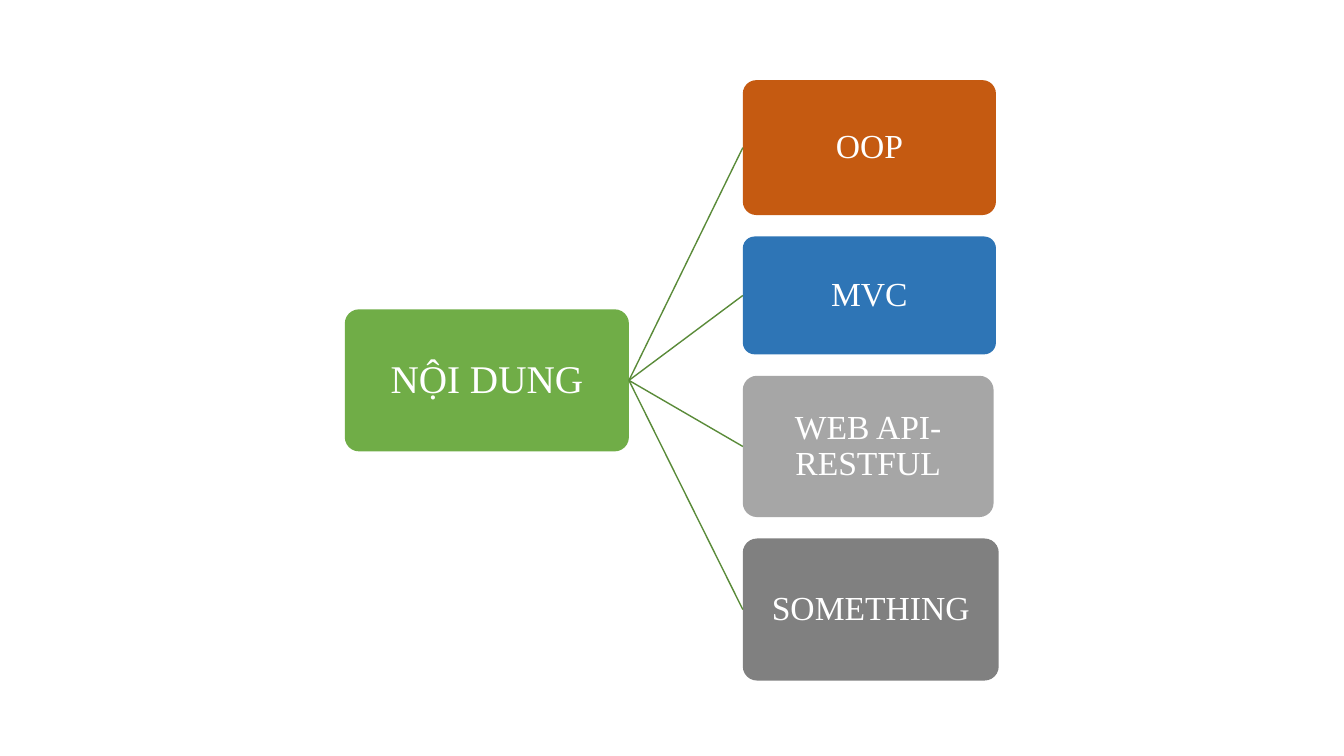
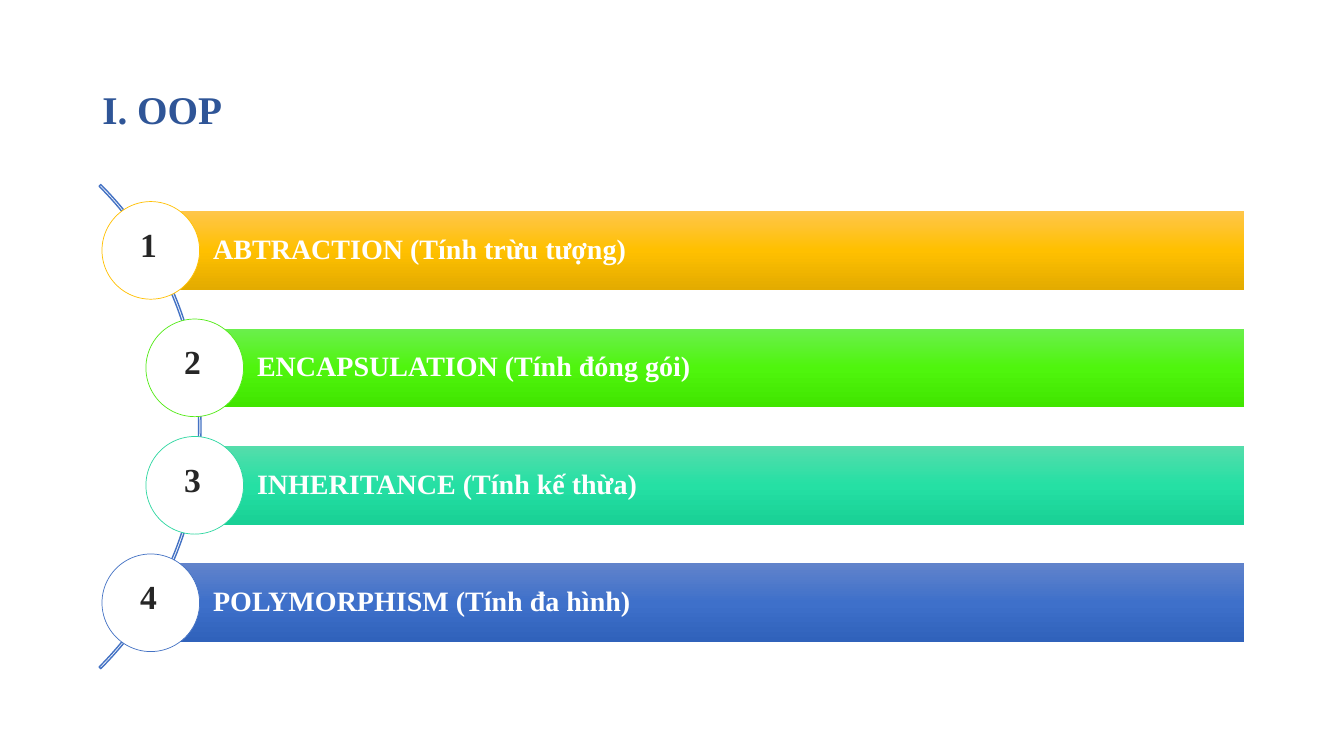
from copy import deepcopy
from dataclasses import dataclass
from math import radians, sin, sqrt

from lxml.etree import SubElement
from pptx import Presentation
from pptx.dml.color import RGBColor
from pptx.enum.shapes import MSO_CONNECTOR, MSO_SHAPE
from pptx.enum.text import MSO_ANCHOR, PP_ALIGN
from pptx.oxml.ns import qn
from pptx.util import Cm, Pt


@dataclass(frozen=True)
class Theme:
    font: str = "Times New Roman"
    white: str = "FFFFFF"
    title: str = "2F5597"
    number: str = "262626"
    root: str = "70AD47"
    link: str = "5A8B39"
    arc: str = "4472C4"
    heading_size: int = 28
    branch_size: int = 24
    principle_size: int = 20


@dataclass(frozen=True)
class Box:
    """A region of the slide, in centimetres."""
    left: float
    top: float
    width: float
    height: float

    @property
    def right(self):
        return self.left + self.width

    @property
    def middle(self):
        return self.top + self.height / 2

    def lengths(self):
        return [Cm(n) for n in (self.left, self.top, self.width, self.height)]


THEME = Theme()

# Vietnamese tone marks are written as combining characters
ROOT_LABEL = "N\u00d4\u0323I DUNG"

# Branch label, fill, width, height
BRANCHES = [
    ("OOP", "C55A11", 6.38, 3.4),
    ("MVC", "2E75B6", 6.38, 2.97),
    ("WEB API- RESTFUL", "A6A6A6", 6.32, 3.56),
    ("SOMETHING", "808080", 6.45, 3.58),
]

# Principle label, gradient of its bar, ring of its circle
PRINCIPLES = [
    ("ABTRACTION (Ti\u0301nh tr\u01b0\u0300u t\u01b0\u01a1\u0323ng)",
     ("FFC64B", "FFC000", "E3AB00"), "FFC000"),
    ("ENCAPSULATION (Ti\u0301nh \u0111o\u0301ng go\u0301i)",
     ("6BEF4D", "4FF50D", "41E500"), "53EB17"),
    ("INHERITANCE (Ti\u0301nh k\u00ea\u0301 th\u01b0\u0300a)",
     ("55DDAB", "25E0A4", "18D095"), "2ED7A1"),
    ("POLYMORPHISM (Ti\u0301nh \u0111a hi\u0300nh)",
     ("6183CB", "3E70CA", "3062BB"), "4472C4"),
]


def write(shape, text, *, size, color=THEME.white, bold=False, align=PP_ALIGN.LEFT,
          anchor=MSO_ANCHOR.MIDDLE, spacing=0.9, inset=0.15, left_inset=None, wrap=True):
    frame = shape.text_frame
    frame.word_wrap = wrap
    frame.vertical_anchor = anchor
    frame.margin_left = Cm(inset if left_inset is None else left_inset)
    frame.margin_right = Cm(inset)
    frame.margin_top = frame.margin_bottom = Cm(0.13)
    paragraph = frame.paragraphs[0]
    paragraph.alignment = align
    paragraph.line_spacing = spacing
    run = paragraph.add_run()
    run.text = text
    run.font.name = THEME.font
    run.font.size = Pt(size)
    run.font.bold = bold
    run.font.color.rgb = RGBColor.from_string(color)


def add_block(slide, preset, box, *, fill=None, line=None, line_width=1):
    block = slide.shapes.add_shape(preset, *box.lengths())
    block.shadow.inherit = False
    if fill is None:
        block.fill.background()
    elif isinstance(fill, tuple):
        shade(block, fill)
    else:
        block.fill.solid()
        block.fill.fore_color.rgb = RGBColor.from_string(fill)
    if line:
        block.line.color.rgb = RGBColor.from_string(line)
        block.line.width = Pt(line_width)
    else:
        block.line.fill.background()
    return block


def shade(block, colors):
    """Fill from top to bottom with evenly spaced colours."""
    block.fill.gradient()
    block.fill.gradient_angle = 270
    stop_list = block.element.spPr.find(qn("a:gradFill")).find(qn("a:gsLst"))
    while len(stop_list) < len(colors):
        stop_list.append(deepcopy(stop_list[0]))
    for i, (stop, color) in enumerate(zip(block.fill.gradient_stops, colors)):
        stop.position = i / (len(colors) - 1)
        stop.color.rgb = RGBColor.from_string(color)


def add_link(slide, root, branch):
    link = slide.shapes.add_connector(MSO_CONNECTOR.STRAIGHT, 0, 0, 0, 0)
    link.begin_connect(root, 3)
    link.end_connect(branch, 1)
    link.line.color.rgb = RGBColor.from_string(THEME.link)
    link.line.width = Pt(1)
    SubElement(link.element.spPr, qn("a:effectLst"))


def add_node(slide, label, box, fill, size):
    node = add_block(slide, MSO_SHAPE.ROUNDED_RECTANGLE, box, fill=fill)
    node.adjustments[0] = 0.1
    write(node, label, size=size, align=PP_ALIGN.CENTER)
    return node


def add_topic_tree(slide, box):
    # Root, centred on the height of the tree
    root_height = 3.58
    root_box = Box(box.left, box.middle - root_height / 2, 7.16, root_height)
    root = add_node(slide, ROOT_LABEL, root_box, THEME.root, THEME.heading_size)

    # Branches, stacked with equal gaps
    branch_left = box.right - max(width for _, _, width, _ in BRANCHES)
    gap = (box.height - sum(height for *_, height in BRANCHES)) / (len(BRANCHES) - 1)
    top = box.top
    for label, fill, width, height in BRANCHES:
        branch_box = Box(branch_left, top, width, height)
        branch = add_node(slide, label, branch_box, fill, THEME.branch_size)
        add_link(slide, root, branch)
        top += height + gap


def add_title(slide, text, box):
    title = slide.shapes.title
    title.left, title.top, title.width, title.height = box.lengths()
    write(title, text, size=THEME.heading_size, color=THEME.title, bold=True, inset=0.25)


def add_principle(slide, number, principle, center_x, center_y, right):
    label, shades, ring = principle
    bar_height, diameter = 1.98, 2.46

    # Bar, starting at the centre of the circle
    bar_box = Box(center_x, center_y - bar_height / 2, right - center_x, bar_height)
    bar = add_block(slide, MSO_SHAPE.RECTANGLE, bar_box, fill=shades)
    write(bar, label, size=THEME.principle_size, bold=True, left_inset=1.57)

    # Numbered circle
    circle = Box(center_x - diameter / 2, center_y - diameter / 2, diameter, diameter)
    add_block(slide, MSO_SHAPE.OVAL, circle, fill=THEME.white, line=ring, line_width=0.5)
    number_box = Box(circle.left + 0.71, circle.top + 0.43, 1.27, 1.27)
    number_text = slide.shapes.add_textbox(*number_box.lengths())
    write(number_text, str(number), size=THEME.branch_size, color=THEME.number, bold=True,
          anchor=MSO_ANCHOR.TOP, spacing=1, inset=0.25, wrap=False)


def add_principle_list(slide, box):
    # Quarter arc whose ends meet the left corners of the box
    diameter = box.height / sin(radians(45))
    thickness = 0.06
    arc_x = box.left - box.height / 2
    arc_box = Box(arc_x - diameter / 2, box.middle - diameter / 2, diameter, diameter)
    arc = add_block(slide, MSO_SHAPE.BLOCK_ARC, arc_box, line=THEME.arc)
    arc.adjustments[0] = 189
    arc.adjustments[1] = 27
    arc.adjustments[2] = thickness / diameter

    # Rows, with their circles centred on the arc
    pitch = 2.96
    radius = (diameter - thickness) / 2
    for i, principle in enumerate(PRINCIPLES):
        offset = (i - (len(PRINCIPLES) - 1) / 2) * pitch
        center_x = arc_x + sqrt(radius ** 2 - offset ** 2)
        add_principle(slide, i + 1, principle, center_x, box.middle + offset, box.right)


def main():
    deck = Presentation()
    deck.slide_width, deck.slide_height = Cm(33.87), Cm(19.05)
    title_only, blank = deck.slide_layouts[5], deck.slide_layouts[6]

    # Contents
    add_topic_tree(deck.slides.add_slide(blank), Box(8.69, 2.02, 16.48, 15.13))

    # Principles of OOP
    oop = deck.slides.add_slide(title_only)
    add_title(oop, "I. OOP", Box(2.33, 1.65, 29.21, 2.34))
    add_principle_list(oop, Box(2.54, 4.65, 28.82, 12.2))

    deck.save("out.pptx")


main()
